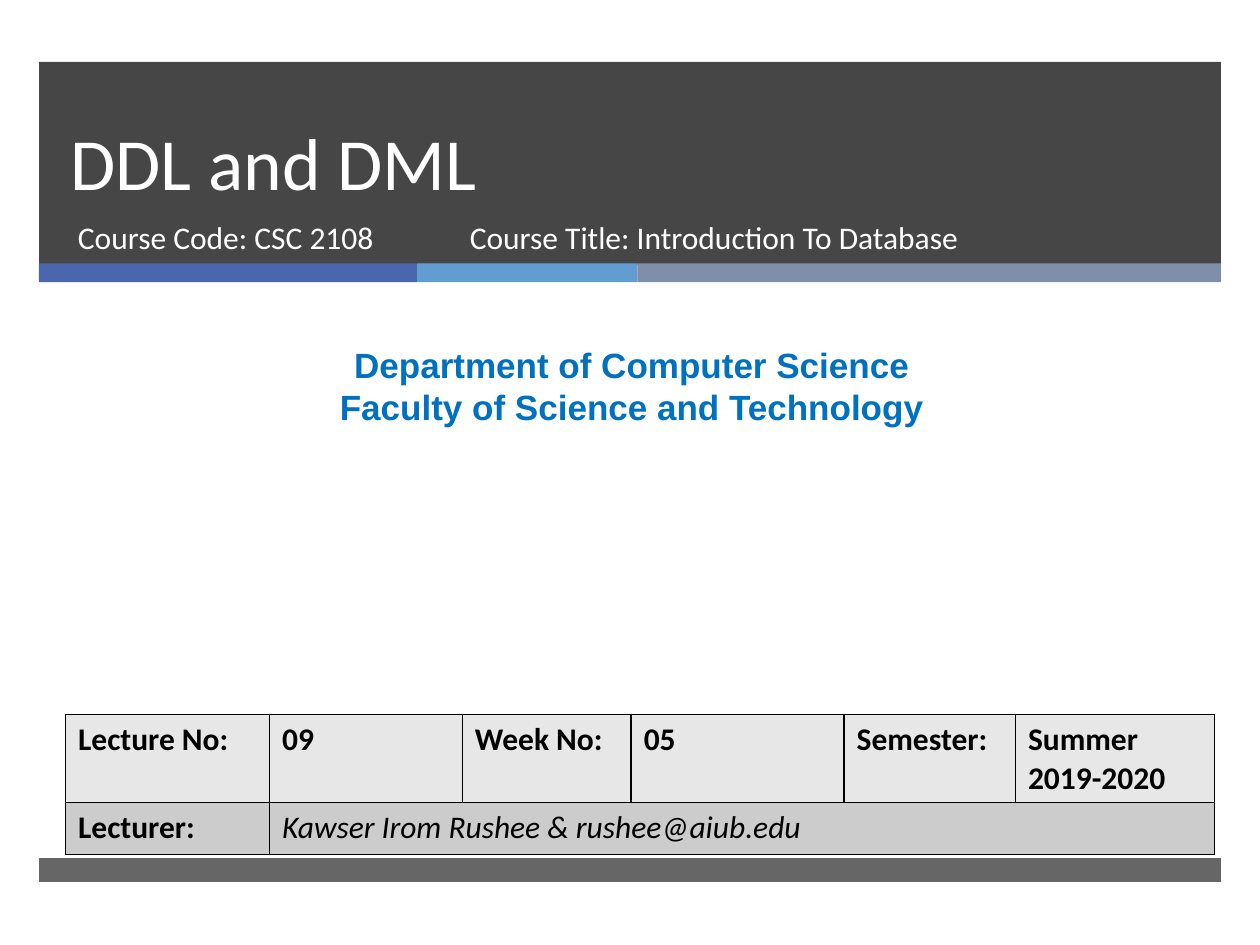
from itertools import accumulate

from lxml import etree
from pptx import Presentation
from pptx import util as u
from pptx.dml.color import RGBColor
from pptx.enum import shapes, text
from pptx.oxml.ns import qn

WHITE = RGBColor(0xFF, 0xFF, 0xFF)
BLACK = RGBColor(0, 0, 0)
CHARCOAL = RGBColor(0x26, 0x26, 0x26)
INDIGO = RGBColor(0x4A, 0x66, 0xAC)
SKY = RGBColor(0x62, 0x9D, 0xD1)
SLATE = RGBColor(0x7F, 0x8F, 0xA9)
HEADING_BLUE = RGBColor(0x00, 0x70, 0xC0)
LIGHT_GREY = RGBColor(0xE7, 0xE7, 0xE7)
MID_GREY = RGBColor(0xCC, 0xCC, 0xCC)

# The slide is a grid of 100 columns by 75 rows
UNIT = u.Inches(0.1)
COLUMNS, ROWS = 100, 75


def grid(*lengths):
    return [round(length * UNIT) for length in lengths]


class CoverSlide:
    """Holds the text style and the slide being drawn."""

    font = "Calibri"
    size = 18

    def __init__(self, deck):
        self.page = deck.slides.add_slide(deck.slide_layouts[6])

    def style(self, frame, color, size=None, font=None, bold=False, italic=False):
        for para in frame.paragraphs:
            for span in para.runs:
                span.font.name = font or self.font
                span.font.size = u.Pt(size or self.size)
                span.font.bold, span.font.italic = bold, italic
                span.font.color.rgb = color

    def bar(self, left, top, width, height, color, opacity=100):
        box = self.page.shapes.add_shape(
            shapes.MSO_SHAPE.RECTANGLE, *grid(left, top, width, height))
        box.shadow.inherit = False
        box.line.fill.background()
        box.fill.solid()
        box.fill.fore_color.rgb = color
        if opacity < 100:
            tint = box.fill._xPr.find(".//" + qn("a:srgbClr"))
            etree.SubElement(tint, qn("a:alpha"), val=str(opacity * 1000))

    def label(self, left, top, width, height, words, color=WHITE,
              align=text.PP_ALIGN.LEFT, anchor=text.MSO_ANCHOR.TOP,
              spacing=None, **look):
        box = self.page.shapes.add_textbox(*grid(left, top, width, height))
        frame = box.text_frame
        frame.word_wrap = True
        frame.vertical_anchor = anchor
        frame.text = words
        for para in frame.paragraphs:
            para.alignment = align
            if spacing:
                para.line_spacing = u.Pt(spacing)
        self.style(frame, color, **look)

    def border(self, cell):
        properties = cell._tc.get_or_add_tcPr()
        for index, side in enumerate(("lnL", "lnR", "lnT", "lnB")):
            line = etree.Element(qn("a:" + side), w=str(u.Pt(1)))
            fill = etree.SubElement(line, qn("a:solidFill"))
            etree.SubElement(fill, qn("a:srgbClr"), val=str(BLACK))
            properties.insert(index, line)

    def table(self, left, top, widths, heights, rows, fills):
        table = self.page.shapes.add_table(
            len(heights), len(widths),
            *grid(left, top, sum(widths), sum(heights))).table
        for column, width in zip(table.columns, grid(*widths)):
            column.width = width
        for row, height in zip(table.rows, grid(*heights)):
            row.height = height
        for row, words, color in zip(table.rows, rows, fills):
            for index, cell in enumerate(row.cells):
                cell.fill.solid()
                cell.fill.fore_color.rgb = color
                self.border(cell)
                if index < len(words):
                    cell.text_frame.text = words[index]
                    self.style(cell.text_frame, BLACK, bold=True)
        return table


def main():
    deck = Presentation()
    deck.slide_width, deck.slide_height = grid(COLUMNS, ROWS)
    cover = CoverSlide(deck)

    # Header band, tricolour strip and footer bar
    margin = 3.1
    band = COLUMNS - 2 * margin
    cover.bar(margin, 4.9, band, 16.1, CHARCOAL, opacity=85)
    strip = (30, 17.5, 46.3)
    starts = accumulate(strip, initial=margin)
    for start, width, color in zip(starts, strip, (INDIGO, SKY, SLATE)):
        cover.bar(start, 20.9, width, 1.5, color)
    cover.bar(margin, 68.1, band, 1.9, CHARCOAL, opacity=70)

    # Title and course details
    cover.label(4.6, 4.9, 85.4, 11.9, "DDL and DML", size=42, spacing=46,
                anchor=text.MSO_ANCHOR.BOTTOM)
    cover.label(5.2, 16.8, 30.5, 5.3, "Course Code: CSC 2108")
    cover.label(36.3, 16.8, 45.5, 5.3, "Course Title: Introduction To Database")

    # Department
    cover.label(0.8, 26.8, 98.7, 7.7,
                "Department of Computer Science\nFaculty of Science and Technology",
                HEADING_BLUE, align=text.PP_ALIGN.CENTER,
                size=20, font="Arial", bold=True)

    # Lecture details
    details = cover.table(
        5.2, 56.7, (16.2, 15.3, 13.4, 16.9, 13.6, 15.8), (7, 4.1),
        (("Lecture No:", "09", "Week No:", "05", "Semester:", "Summer 2019-2020"),
         ("Lecturer:", "Kawser Irom Rushee & rushee@aiub.edu")),
        (LIGHT_GREY, MID_GREY))
    lecturer = details.cell(1, 1)
    lecturer.merge(details.cell(1, 5))
    cover.style(lecturer.text_frame, BLACK, italic=True)

    deck.save("out.pptx")


if __name__ == "__main__":
    main()
